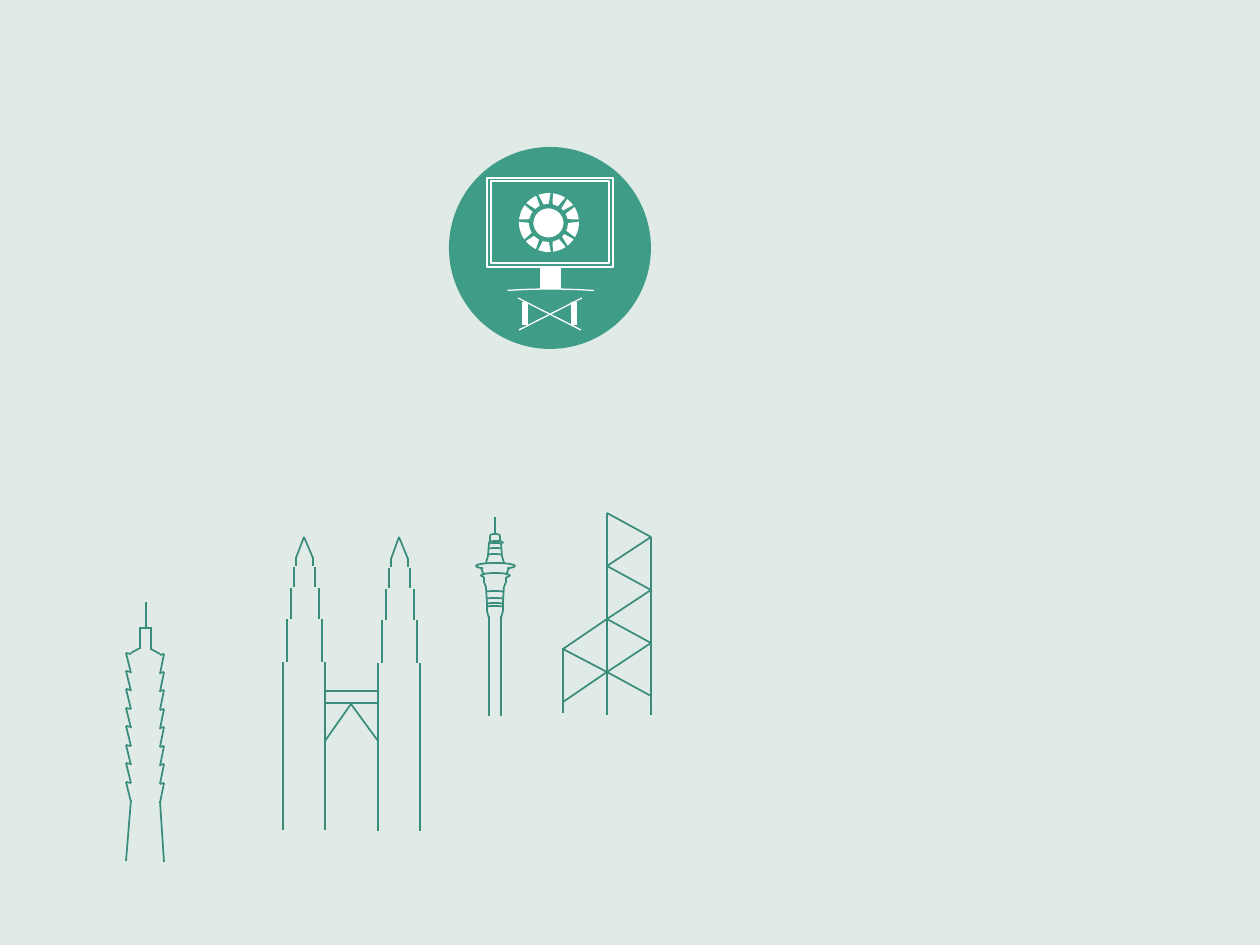
import dataclasses
import math

import lxml.etree
import pptx
import pptx.dml.color
import pptx.enum.shapes
import pptx.oxml.ns
import pptx.util

SHAPE = pptx.enum.shapes.MSO_SHAPE
PX = 914400 / 126


@dataclasses.dataclass
class Theme:
    background: str = "E0EBE8"
    outline: str = "3B8D7B"
    badge: str = "3E9C87"
    white: str = "FFFFFF"
    thin: float = 0.75
    normal: float = 1
    thick: float = 1.5


def emu(px):
    return pptx.util.Emu(round(px * PX))


def rgb(color):
    return pptx.dml.color.RGBColor.from_string(color)


class Sketch:
    def __init__(self, slide, theme):
        self.slide = slide
        self.theme = theme
        fill = slide.background.fill
        fill.solid()
        fill.fore_color.rgb = rgb(theme.background)

    def style(self, sp, fill=None, line=None, width=None):
        sp.shadow.inherit = False
        if fill:
            sp.fill.solid()
            sp.fill.fore_color.rgb = rgb(fill)
        else:
            sp.fill.background()
        if line:
            sp.line.color.rgb = rgb(line)
            sp.line.width = pptx.util.Pt(width or self.theme.normal)
        else:
            sp.line.fill.background()

    def line(self, x1, y1, x2, y2, color=None, width=None):
        cx = self.slide.shapes.add_connector(
            pptx.enum.shapes.MSO_CONNECTOR.STRAIGHT,
            emu(x1), emu(y1), emu(x2), emu(y2))
        cx.line.color.rgb = rgb(color or self.theme.outline)
        cx.line.width = pptx.util.Pt(width or self.theme.normal)
        lxml.etree.SubElement(cx._element.spPr, pptx.oxml.ns.qn("a:effectLst"))

    def shape(self, kind, x, y, w, h, adjustments=(), rotation=0, **look):
        sp = self.slide.shapes.add_shape(kind, emu(x), emu(y), emu(w), emu(h))
        for i, value in enumerate(adjustments):
            sp.adjustments[i] = value
        sp.rotation = rotation
        self.style(sp, **look)

    def arc(self, x, y, w, h, start, end, color=None, width=None):
        self.shape(SHAPE.ARC, x, y, w, h, (start, end),
                   line=color or self.theme.outline, width=width)

    def outline(self, points):
        (x, y), *rest = [(emu(x), emu(y)) for x, y in points]
        builder = self.slide.shapes.build_freeform(x, y)
        builder.add_line_segments(rest, close=False)
        self.style(builder.convert_to_shape(), line=self.theme.outline)


def draw_braced_tower(s):
    left, middle, right = 563, 607, 651
    pitch = 53
    for floor in range(4):
        drop = floor * pitch
        s.line(middle, 513 + drop, right, 537 + drop)
        if floor < 3:
            s.line(right, 537 + drop, middle, 566 + drop)
    for y in (619, 672):
        s.line(middle, y, left, y + 30)
    s.line(middle, 672, left, 649)
    for x, top, bottom in ((left, 648, 713), (middle, 513, 715), (right, 537, 715)):
        s.line(x, top, x, bottom)


def draw_observation_tower(s):
    axis = 495
    s.line(axis, 517, axis, 533)
    half_lines = (
        (490, 536, 490, 542), (489, 543, 488, 556), (488, 556, 486, 563),
        (481, 568, 484, 575), (484, 577, 484, 582), (484, 582, 486, 587),
        (489, 616, 489, 716),
    )
    neck = ((486, 587), (487, 602), (487, 611), (489, 618))
    for x1, y1, x2, y2 in half_lines:
        s.line(x1, y1, x2, y2)
        s.line(2 * axis - x1, y1, 2 * axis - x2, y2)
    s.outline(neck)
    s.outline([(2 * axis - x, y) for x, y in neck])
    for x, y, w, h, start, end in (
        (490, 534, 10, 3, 103.35, 3.41), (489, 541, 14, 3, 103.35, 3.75),
        (476, 563, 39, 6, 101.47, 7), (481, 573, 29, 5, 103.57, 5.02),
        (485, 543, 21, 5, 116.25, 203.84), (485, 548, 21, 5, 116.25, 205.29),
        (484, 554, 21, 5, 116.25, 208.31),
    ):
        s.arc(x, y, w, h, start, end)
    for y in (591, 598, 603, 606):
        s.arc(480, y, 29, 5, 116.25, 208.23)


def draw_tiered_tower(s):
    s.line(146, 602, 146, 629)
    s.line(140, 628, 152, 628)
    for outer, inner, core, shift in ((126, 131, 140, 0), (164, 160, 151, 1)):
        s.line(core, 627 + shift, core, 649 + shift)
        s.line(core, 648 + shift, inner, 653 + shift)
        for tier in range(8):
            y = 653 + tier * 129 // 7 + shift
            s.line(inner, y + 1, outer, y)
            s.line(outer, y, inner, y + 20)
        s.line(inner, 800 + shift, outer, 861 + shift)


def draw_twin_towers(s):
    tiers = ((283, 325, 662, 830), (287, 322, 619, 662), (291, 319, 588, 619),
             (294, 315, 567, 587), (296, 313, 557, 566))
    for dx, dy in ((0, 0), (95, 1)):
        for left, right, top, bottom in tiers:
            for x in (left, right):
                s.line(x + dx, top + dy, x + dx, bottom + dy)
        for x in (296, 313):
            s.line(304 + dx, 537, x + dx, 558 + dy)
    for y in (691, 703):
        s.line(325, y, 378, y)
    for x in (325, 378):
        s.line(351, 704, x, 741)


def draw_sun(s):
    t = s.theme
    cx, cy, radius, w, h = 549, 222, 24, 4, 14
    s.shape(SHAPE.OVAL, 519, 193, 60, 59, fill=t.white)
    s.shape(SHAPE.DONUT, 529, 204, 39, 38, (0.115,), fill=t.badge)
    for angle in (5.3, 36, 57.3, 87.2, 122.7, 144,
                  174.7, 203.6, 232.7, 272.8, 307.3, 336.4):
        x = cx + radius * math.sin(math.radians(angle))
        y = cy - radius * math.cos(math.radians(angle))
        s.shape(SHAPE.TRAPEZOID, x - w / 2, y - h / 2, w, h,
                rotation=angle, fill=t.badge)


def draw_screen_badge(s):
    t = s.theme
    s.shape(SHAPE.OVAL, 449, 147, 202, 202, fill=t.badge)
    s.shape(SHAPE.RECTANGLE, 487, 178, 126, 89, line=t.white, width=t.thick)
    s.shape(SHAPE.RECTANGLE, 491, 181, 118, 82, line=t.white)
    s.shape(SHAPE.RECTANGLE, 540, 268, 21, 21, fill=t.white)
    s.arc(466, 289, 168, 21, 115.22, 209.15, t.white, t.thin)
    draw_sun(s)
    for x in (522, 571):
        s.shape(SHAPE.RECTANGLE, x, 302, 6, 23, fill=t.white)
    s.line(519, 330, 582, 298, t.white, t.thin)
    s.line(518, 298, 581, 330, t.white, t.thin)


def main():
    prs = pptx.Presentation()
    prs.slide_width, prs.slide_height = emu(1260), emu(945)
    s = Sketch(prs.slides.add_slide(prs.slide_layouts[6]), Theme())
    draw_braced_tower(s)
    draw_observation_tower(s)
    draw_tiered_tower(s)
    draw_twin_towers(s)
    draw_screen_badge(s)
    prs.save("out.pptx")


if __name__ == "__main__":
    main()
